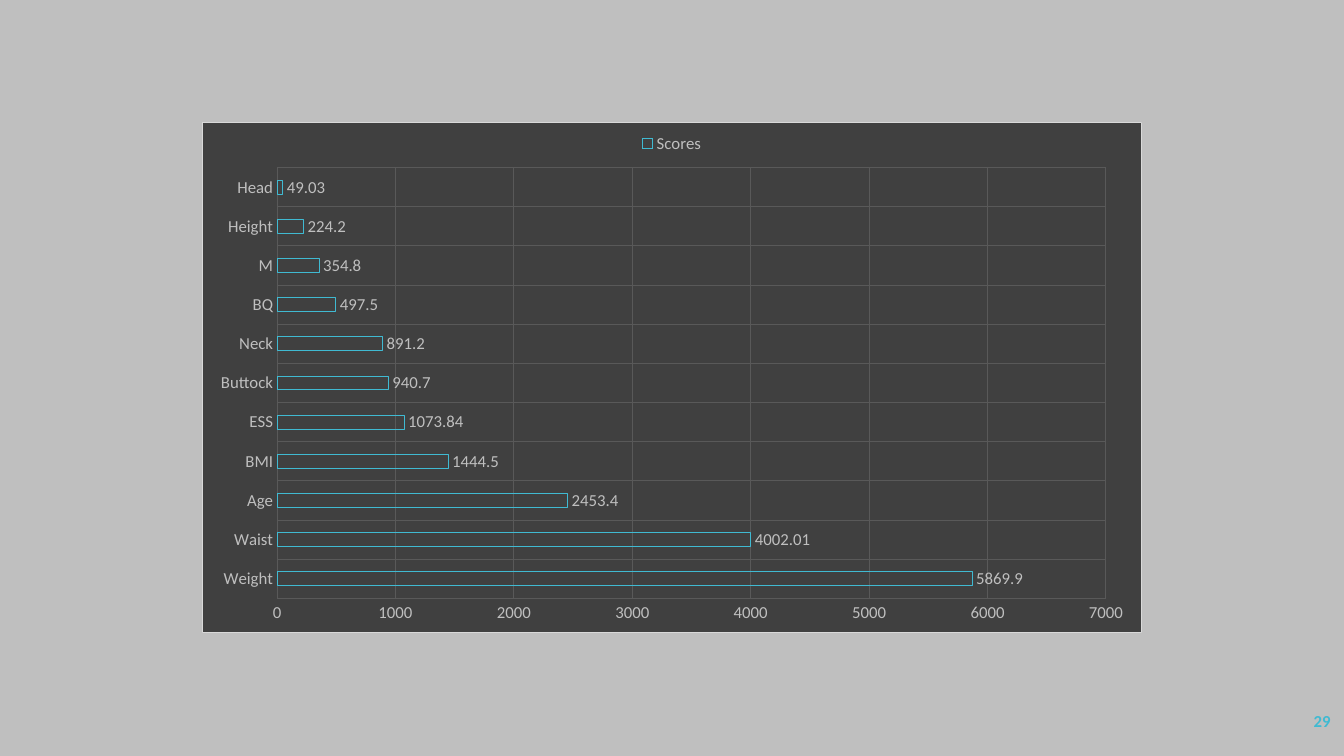
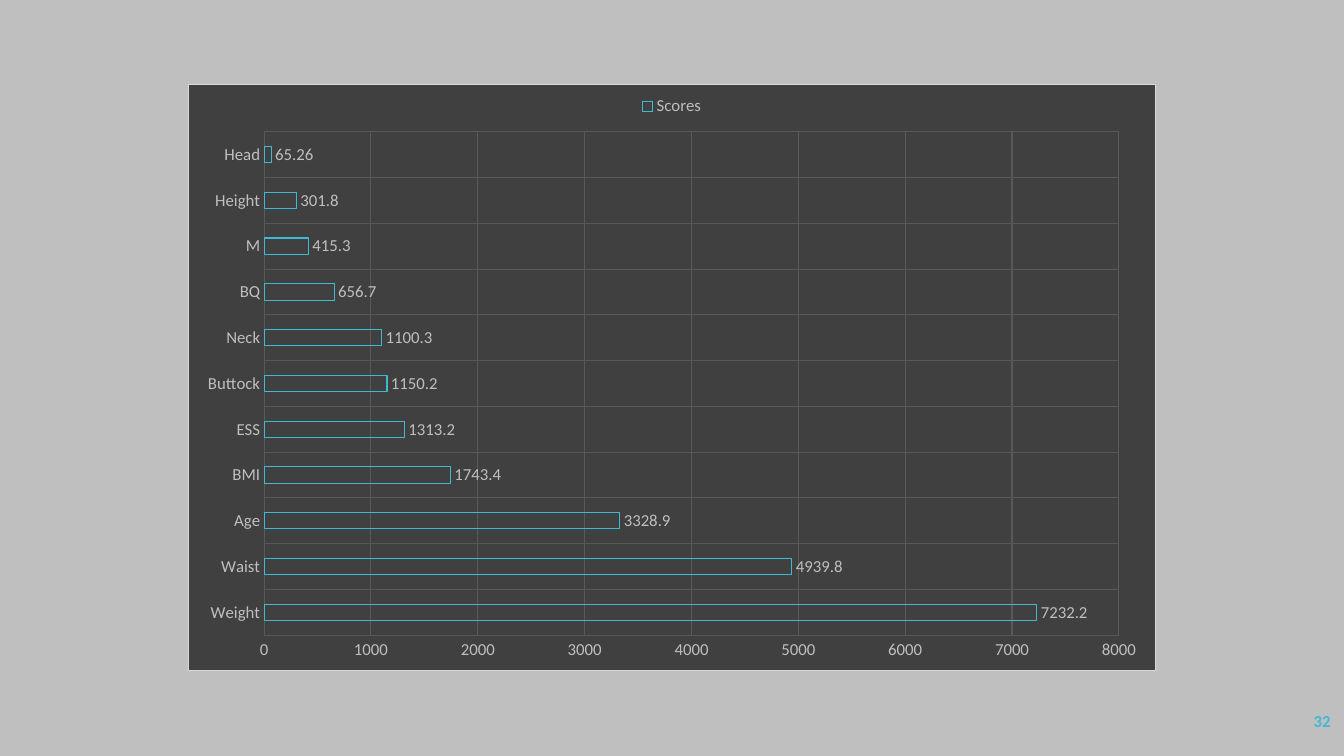
"""Build two slides that rank feature scores in bar charts."""
from dataclasses import dataclass

from lxml import etree
from pptx import Presentation
from pptx.chart.data import CategoryChartData
from pptx.dml.color import RGBColor
from pptx.enum.chart import (XL_CHART_TYPE, XL_LABEL_POSITION,
                             XL_LEGEND_POSITION, XL_TICK_MARK)
from pptx.enum.text import MSO_ANCHOR, PP_ALIGN
from pptx.oxml import parse_xml
from pptx.oxml.ns import nsdecls, qn
from pptx.util import Pt

BAR_CLUSTERED = XL_CHART_TYPE.BAR_CLUSTERED
OUTSIDE_END = XL_LABEL_POSITION.OUTSIDE_END
LEGEND_TOP = XL_LEGEND_POSITION.TOP
NO_TICK = XL_TICK_MARK.NONE
MIDDLE = MSO_ANCHOR.MIDDLE
RIGHT = PP_ALIGN.RIGHT

SLIDE_WIDTH, SLIDE_HEIGHT = 960, 540
PAGE_NUMBER_BOX = (837.4, 500.4, 120.2, 28.8)
AXIS_STEP = 1000
FEATURES = ("Weight", "Waist", "Age", "BMI", "ESS", "Buttock", "Neck", "BQ",
            "M", "Height", "Head")


@dataclass(frozen=True)
class Theme:
    """Hold the colours and type sizes of the deck."""
    background: str = "BFBFBF"
    panel: str = "404040"
    panel_border: str = "D9D9D9"
    grid: str = "595959"
    chart_text: str = "BFBFBF"
    accent: str = "40BAD2"
    font: str = "Calibri"
    text_size: float = 12
    line_width: float = 0.75


THEME = Theme()


@dataclass(frozen=True)
class ScoreSlide:
    """Hold the page number, chart placement and scores of one slide."""
    page: int
    top: float
    width: float
    height: float
    axis_end: int
    scores: tuple


SCORE_SLIDES = (
    ScoreSlide(29, 87, 672, 365.2, 7000,
               (5869.9, 4002.01, 2453.4, 1444.5, 1073.84, 940.7,
                891.2, 497.5, 354.8, 224.2, 49.03)),
    ScoreSlide(32, 60.2, 691.2, 419.4, 8000,
               (7232.2, 4939.8, 3328.9, 1743.4, 1313.2, 1150.2,
                1100.3, 656.7, 415.3, 301.8, 65.26)),
)


def apply_format(target, values):
    """Set every named attribute of the target."""
    for name, value in values.items():
        setattr(target, name, value)


def style_font(font, color, bold=False):
    """Give a font the deck's typeface and size."""
    apply_format(font, {"name": THEME.font, "size": Pt(THEME.text_size),
                        "bold": bold})
    font.color.rgb = RGBColor.from_string(color)


def style_line(line, color):
    """Give a line a colour and the deck's line width."""
    line.color.rgb = RGBColor.from_string(color)
    line.width = Pt(THEME.line_width)


def style_panel(chart):
    """Fill and outline the whole chart area."""
    panel = parse_xml(
        f'<c:spPr {nsdecls("c", "a")}><a:solidFill/>'
        f'<a:ln w="{Pt(THEME.line_width)}"><a:solidFill/></a:ln></c:spPr>')
    colors = (THEME.panel, THEME.panel_border)
    for fill, color in zip(panel.iter(qn("a:solidFill")), colors):
        etree.SubElement(fill, qn("a:srgbClr"), val=color)
    chart.element.find(qn("c:chart")).addnext(panel)


def style_axis(axis):
    """Show an axis as labels and gridlines only."""
    apply_format(axis, {"has_major_gridlines": True,
                        "major_tick_mark": NO_TICK,
                        "minor_tick_mark": NO_TICK})
    axis.format.line.fill.background()
    style_line(axis.major_gridlines.format.line, THEME.grid)
    style_font(axis.tick_labels.font, THEME.chart_text)


def style_bars(plot):
    """Draw hollow bars with their values at the end."""
    apply_format(plot, {"gap_width": 182, "overlap": -50,
                        "vary_by_categories": False, "has_data_labels": True})
    apply_format(plot.data_labels, {"show_value": True,
                                    "position": OUTSIDE_END,
                                    "number_format": "General",
                                    "number_format_is_linked": False})
    style_font(plot.data_labels.font, THEME.chart_text)
    bars = plot.series[0].format
    bars.fill.background()
    style_line(bars.line, THEME.accent)


def add_score_chart(slide, content):
    """Add the score chart, centred across the slide."""
    data = CategoryChartData()
    data.categories = FEATURES
    data.add_series("Scores", content.scores)
    left = (SLIDE_WIDTH - content.width) / 2
    box = map(Pt, (left, content.top, content.width, content.height))
    chart = slide.shapes.add_chart(BAR_CLUSTERED, *box, data).chart
    apply_format(chart, {"has_title": False, "has_legend": True})
    style_font(chart.font, THEME.chart_text)
    apply_format(chart.legend, {"position": LEGEND_TOP,
                                "include_in_layout": False})
    style_font(chart.legend.font, THEME.chart_text)
    for axis in (chart.category_axis, chart.value_axis):
        style_axis(axis)
    apply_format(chart.value_axis, {"minimum_scale": 0,
                                    "maximum_scale": content.axis_end,
                                    "major_unit": AXIS_STEP})
    style_bars(chart.plots[0])
    style_panel(chart)


def add_page_number(slide, page):
    """Add the page number at the bottom right."""
    frame = slide.shapes.add_textbox(*map(Pt, PAGE_NUMBER_BOX)).text_frame
    apply_format(frame, {"text": str(page), "word_wrap": True,
                         "vertical_anchor": MIDDLE})
    number = frame.paragraphs[0]
    number.alignment = RIGHT
    style_font(number.runs[0].font, THEME.accent, bold=True)


def main():
    """Build and save the deck."""
    deck = Presentation()
    apply_format(deck, {"slide_width": Pt(SLIDE_WIDTH),
                        "slide_height": Pt(SLIDE_HEIGHT)})
    backdrop = deck.slide_master.background.fill
    backdrop.solid()
    backdrop.fore_color.rgb = RGBColor.from_string(THEME.background)
    blank = deck.slide_layouts[6]
    for content in SCORE_SLIDES:
        slide = deck.slides.add_slide(blank)
        add_score_chart(slide, content)
        add_page_number(slide, content.page)
    deck.save("out.pptx")


if __name__ == "__main__":
    main()
